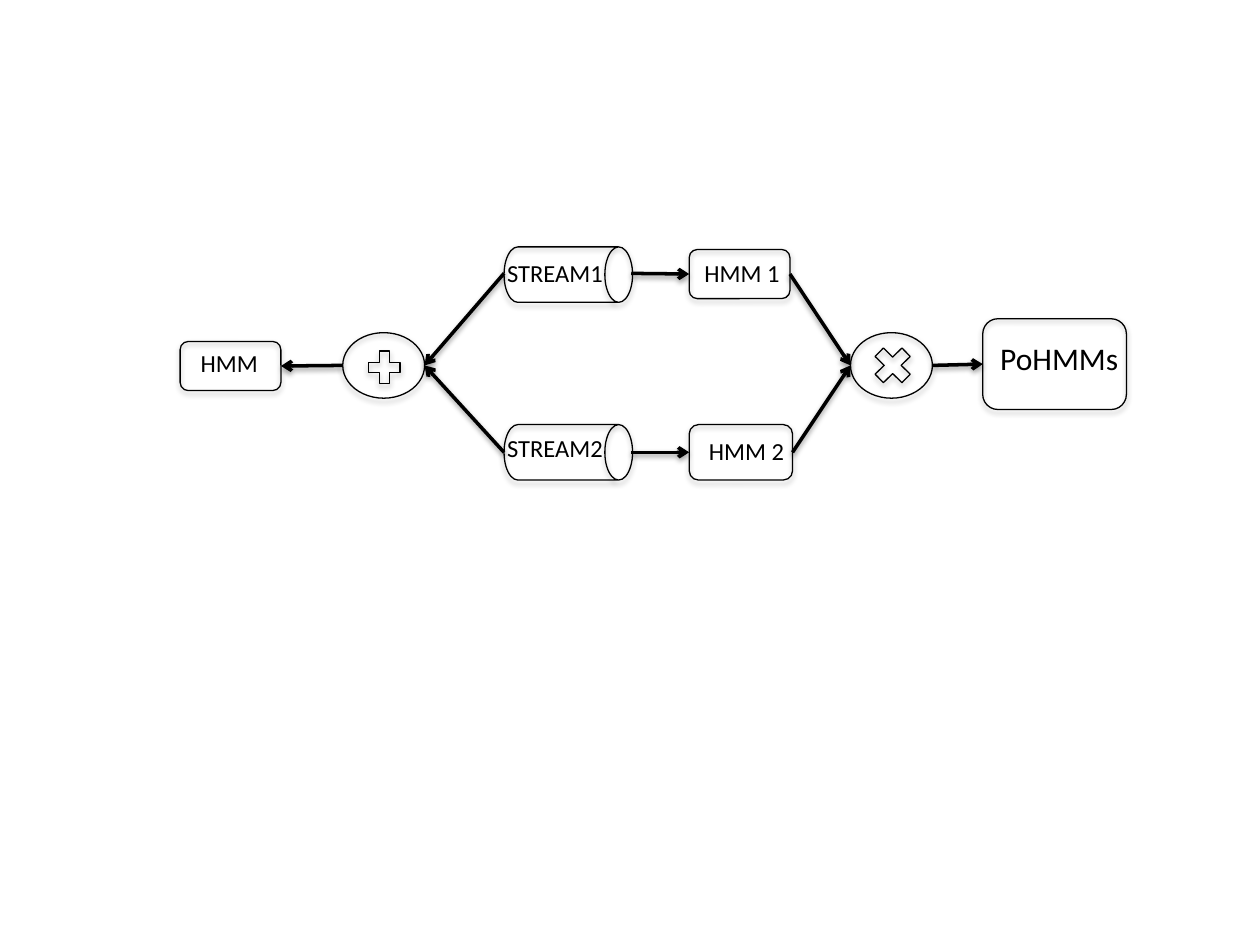
from pptx import Presentation
from pptx import util as u
from pptx.dml import color
from pptx.enum import shapes, text
from pptx.oxml import parse_xml
from pptx.oxml.ns import nsdecls

HUES = {"ink": "000000"}
FONT = "Calibri"
KIND = shapes.MSO_SHAPE
TOP, LEFT, BASE, RIGHT = range(4)


def ink():
    return color.RGBColor.from_string(HUES["ink"])


def shade(item, alpha, dist):
    """Give a shape or connector a soft shadow straight below it."""
    props = item._element.spPr
    for old in props.xpath("a:effectLst"):
        props.remove(old)
    props.append(parse_xml(
        f'<a:effectLst {nsdecls("a")}>'
        f'<a:outerShdw blurRad="{u.Pt(3.1)}" dist="{u.Pt(dist)}" dir="5400000" rotWithShape="0">'
        f'<a:srgbClr val="{HUES["ink"]}"><a:alpha val="{alpha * 1000}"/></a:srgbClr>'
        '</a:outerShdw></a:effectLst>'))


def node(slide, kind, *box):
    """Add an unfilled outlined shape."""
    item = slide.shapes.add_shape(kind, *map(u.Inches, box))
    item.fill.background()
    item.line.color.rgb = ink()
    item.line.width = u.Pt(0.75)
    shade(item, 35, 1.8)
    return item


def drum(slide, *box):
    """Add a cylinder lying on its side."""
    item = node(slide, KIND.CAN, *box)
    item.rotation = 90
    item.adjustments[0] = 0.5
    return item


def label(slide, words, *box, size=14, align=text.PP_ALIGN.CENTER):
    frame = slide.shapes.add_textbox(*map(u.Inches, box)).text_frame
    frame.word_wrap = False
    frame.auto_size = text.MSO_AUTO_SIZE.SHAPE_TO_FIT_TEXT
    para = frame.paragraphs[0]
    para.text = words
    para.alignment = align
    para.font.name = FONT
    para.font.size = u.Pt(size)
    para.font.color.rgb = ink()


def arrow(slide, start, end, source=None, target=None):
    """Add an arrow, joined to the boxes at its ends where given."""
    item = slide.shapes.add_connector(
        shapes.MSO_CONNECTOR.STRAIGHT, *map(u.Inches, start + end))
    if source:
        item.begin_connect(*source)
    if target:
        item.end_connect(*target)
    item.line.color.rgb = ink()
    item.line.width = u.Pt(2)
    item.line._get_or_add_ln().append(
        parse_xml(f'<a:tailEnd {nsdecls("a")} type="arrow"/>'))
    shade(item, 38, 1.6)


def main():
    deck = Presentation()
    deck.slide_width, deck.slide_height = u.Inches(10), u.Inches(7.5)
    slide = deck.slides.add_slide(deck.slide_layouts[6])
    box = KIND.FLOWCHART_ALTERNATE_PROCESS
    plus, times = (3.37, 2.9), (6.75, 2.9)

    # Result boxes at both ends
    joint = node(slide, box, 1.43, 2.71, 0.8, 0.39)
    label(slide, "HMM ", 1.49, 2.71, 0.66, 0.34)
    product = node(slide, box, 7.8, 2.53, 1.14, 0.72)
    label(slide, "PoHMMs", 7.84, 2.64, 1.16, 0.4,
          size=18, align=text.PP_ALIGN.LEFT)

    # Streams, each feeding the sum and its own model
    rows = [
        (1, 1.67, 2.0, 2.17, (5.47, 1.98, 0.8, 0.39), (5.49, 2.0, 0.8, 0.34)),
        (2, 3.08, 3.39, 3.59, (5.47, 3.37, 0.82, 0.44), (5.52, 3.41, 0.81, 0.34)),
    ]
    for num, top, word, mid, area, spot in rows:
        drum(slide, 4.29, top, 0.44, 1.02)
        label(slide, f"STREAM{num}", 3.92, word, 0.97, 0.34)
        model = node(slide, box, *area)
        label(slide, f"HMM {num}", *spot)
        arrow(slide, (5.01, mid), (5.47, mid), target=(model, LEFT))
        arrow(slide, (area[0] + area[2], mid), times, source=(model, RIGHT))
        arrow(slide, (4, mid), plus)

    # Sum and product operators
    for left in (2.72, 6.75):
        node(slide, KIND.OVAL, left, 2.64, 0.65, 0.52)
    node(slide, KIND.MATH_PLUS, 2.88, 2.74, 0.34, 0.35)
    node(slide, KIND.MATH_MULTIPLY, 6.88, 2.7, 0.41, 0.4)
    arrow(slide, (2.72, 2.9), (2.23, 2.9), target=(joint, RIGHT))
    arrow(slide, (7.4, 2.9), (7.8, 2.89), target=(product, LEFT))

    deck.save("out.pptx")


if __name__ == "__main__":
    main()
